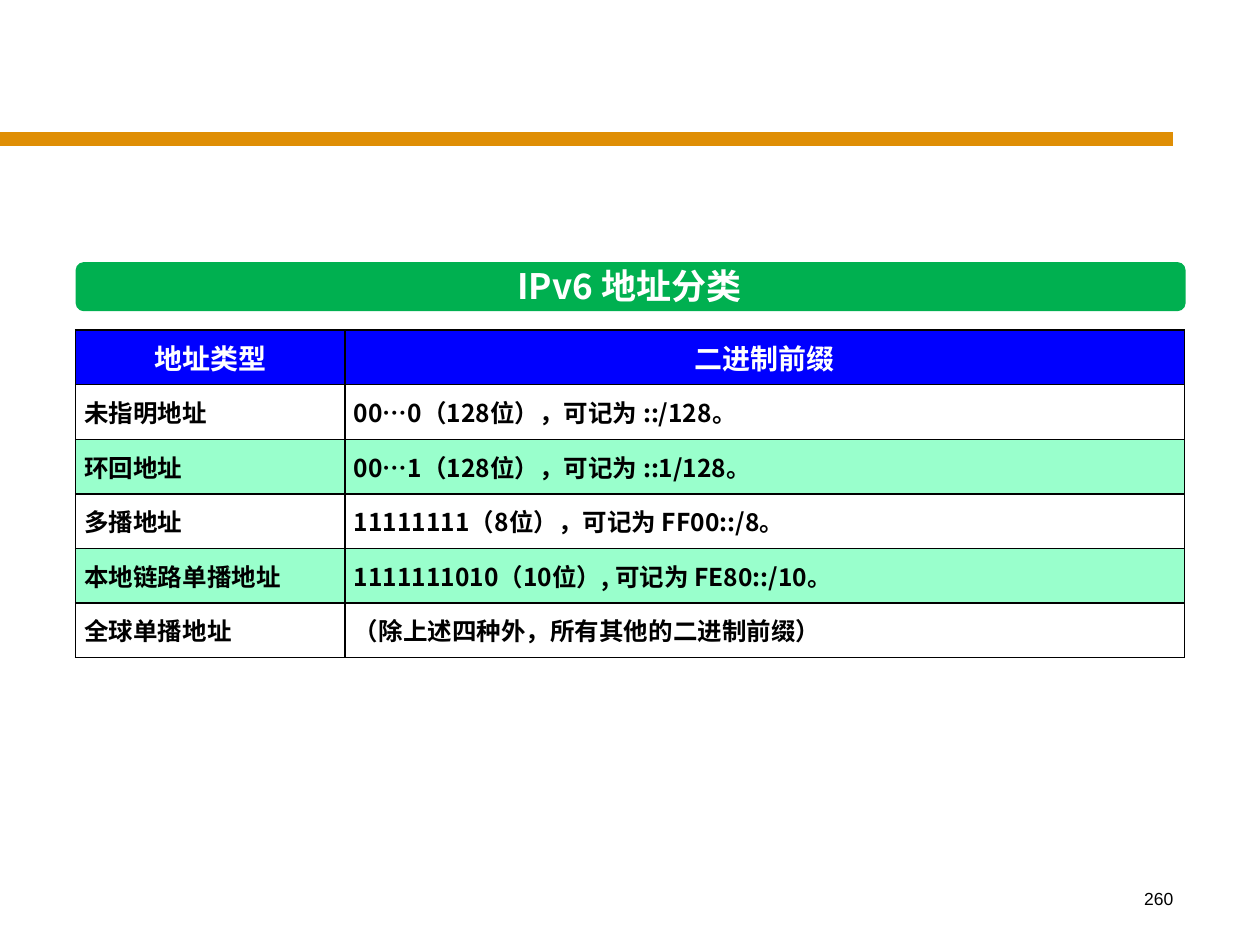
from lxml import etree
from pptx import Presentation
from pptx import util as u
from pptx.dml.color import RGBColor
from pptx.enum import shapes, text
from pptx.oxml import ns

CJK = "Noto Sans CJK SC"
align = text.PP_ALIGN


def color(code):
    return RGBColor.from_string(code)


def write(frame, words, size, code, side, face=CJK, bold=True):
    para = frame.paragraphs[0]
    para.alignment = side
    run = para.add_run()
    run.text = words
    font = run.font
    font.size, font.bold, font.name = u.Pt(size), bold, face
    font.color.rgb = color(code)
    # East Asian glyphs need their own typeface entry
    etree.SubElement(font._element, ns.qn("a:ea"), typeface=face)


deck = Presentation()
deck.slide_width, deck.slide_height = u.Inches(10), u.Inches(7.5)
slide = deck.slides.add_slide(deck.slide_layouts[6])
items = slide.shapes

# Orange rule
rule = items.add_connector(shapes.MSO_CONNECTOR.STRAIGHT, u.Inches(0),
                           u.Inches(1.1), u.Inches(9.31), u.Inches(1.1))
rule.line.color.rgb = color("DF8E05")
rule.line.width = u.Pt(8)
etree.SubElement(rule._element.spPr, ns.qn("a:effectLst"))

# Page number
page = items.add_textbox(u.Inches(7.33), u.Inches(7), u.Inches(2.08), u.Inches(0.5))
page.text_frame.word_wrap = True
write(page.text_frame, "260", 10, "000000", align.RIGHT, "Arial", False)

# Green title bar
bar = items.add_shape(shapes.MSO_SHAPE.ROUNDED_RECTANGLE, u.Inches(0.6),
                      u.Inches(2.08), u.Inches(8.81), u.Inches(0.39))
bar.shadow.inherit = False
bar.fill.solid()
bar.fill.fore_color.rgb = color("00B050")
bar.line.fill.background()

title = items.add_textbox(u.Inches(2.12), u.Inches(2.05), u.Inches(5.75), u.Inches(0.44))
title.text_frame.word_wrap = True
title.text_frame.auto_size = text.MSO_AUTO_SIZE.SHAPE_TO_FIT_TEXT
write(title.text_frame, "IPv6 地址分类", 20, "FFFFFF", align.CENTER)

# Address table
rows = [
    ("地址类型", "二进制前缀"),
    ("未指明地址", "00…0（128位），可记为 ::/128。"),
    ("环回地址", "00…1（128位），可记为 ::1/128。"),
    ("多播地址", "11111111（8位），可记为 FF00::/8。"),
    ("本地链路单播地址", "1111111010（10位）, 可记为 FE80::/10。"),
    ("全球单播地址", "（除上述四种外，所有其他的二进制前缀）"),
]
table = items.add_table(len(rows), 2, u.Inches(0.6), u.Inches(2.62),
                        u.Inches(8.81), u.Inches(2.6)).table
for col, width in zip(table.columns, (2.14, 6.66)):
    col.width = u.Inches(width)

for r, row in enumerate(rows):
    for c, words in enumerate(row):
        cell = table.cell(r, c)
        cell.vertical_anchor = text.MSO_ANCHOR.MIDDLE
        cell.margin_left = cell.margin_right = u.Inches(0.07)
        cell.margin_top = cell.margin_bottom = 0
        if r == 0:
            shade = "0000FF"
            write(cell.text_frame, words, 16, "FFFFFF", align.CENTER)
        else:
            shade = "FFFFFF" if r % 2 else "99FFCC"
            write(cell.text_frame, words, 14, "000000", align.JUSTIFY)

        # Borders come before the fill in the cell properties
        props = cell._tc.get_or_add_tcPr()
        for edge in ("lnL", "lnR", "lnT", "lnB"):
            line = etree.SubElement(props, ns.qn("a:" + edge), w=str(u.Pt(1)))
            paint = etree.SubElement(line, ns.qn("a:solidFill"))
            etree.SubElement(paint, ns.qn("a:srgbClr"), val="000000")
        cell.fill.solid()
        cell.fill.fore_color.rgb = color(shade)

deck.save("out.pptx")
